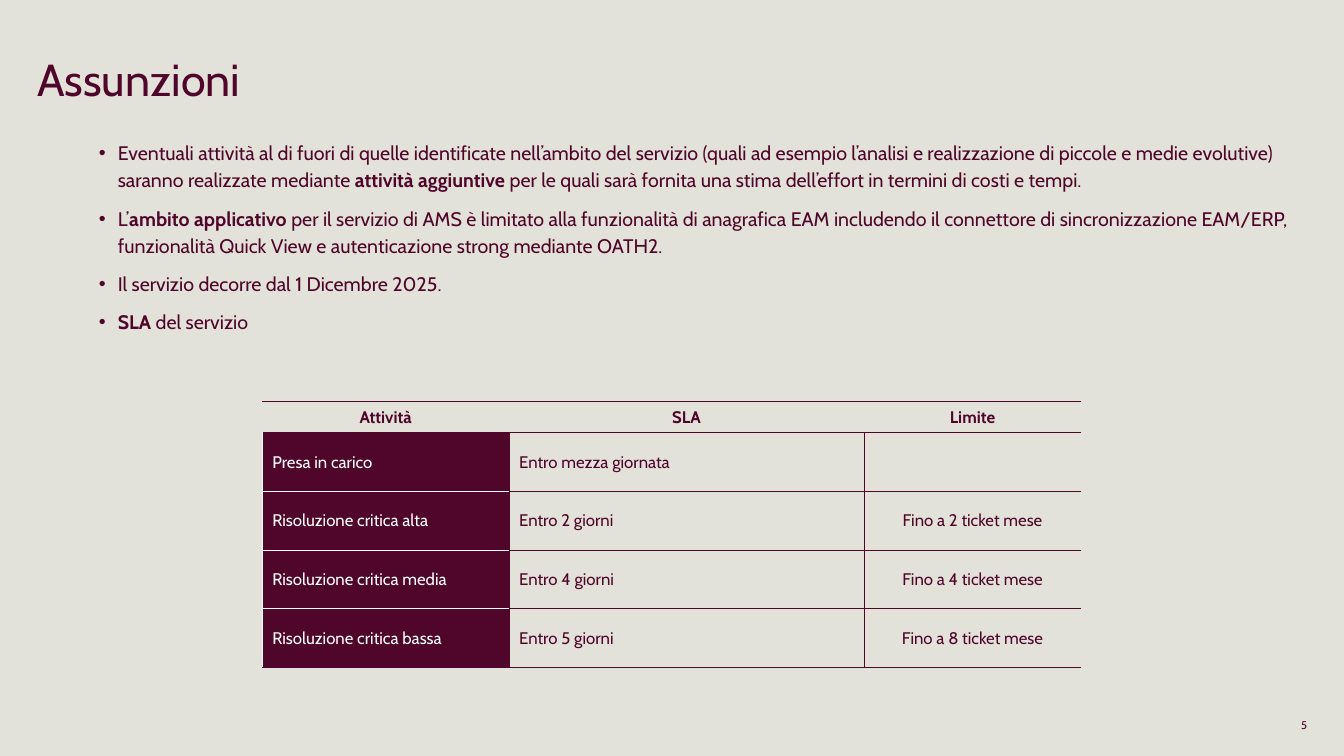
from dataclasses import dataclass
from typing import Any, NamedTuple

from lxml import etree
from pptx import Presentation
from pptx import util as u
from pptx.dml import color
from pptx.enum import text
from pptx.oxml import ns

PLUM = color.RGBColor(0x4F, 0x06, 0x2A)
WHITE = color.RGBColor(0xFF, 0xFF, 0xFF)
SAND = color.RGBColor(0xE3, 0xE2, 0xDA)
FONT = "Cabin"
LEFT, CENTER, RIGHT = text.PP_ALIGN.LEFT, text.PP_ALIGN.CENTER, text.PP_ALIGN.RIGHT


class Span(NamedTuple):
    words: str
    bold: bool = False


@dataclass
class TextBox:
    left: float
    top: float
    width: float
    height: float
    size: int
    paragraphs: list[list[Span]]
    spacing: float = 1.0
    align: Any = LEFT
    anchor: Any = text.MSO_ANCHOR.TOP
    bulleted: bool = False


@dataclass
class Column:
    heading: str
    width: float
    align: Any
    entries: list[str]


TITLE = TextBox(0.94, 1.52, 32, 1.88, 32, [[Span("Assunzioni")]], spacing=0.85)
ASSUMPTIONS = TextBox(0.97, 3.35, 31.95, 5.89, 14, [
    [Span("Eventuali attività al di fuori di quelle identificate nell’ambito del servizio "
          "(quali ad esempio l’analisi e realizzazione di piccole e medie evolutive) "
          "saranno realizzate mediante "),
     Span("attività aggiuntive", True),
     Span(" per le quali sarà fornita una stima dell’effort in termini di costi e tempi.")],
    [Span("L’"), Span("ambito applicativo", True),
     Span(" per il servizio di AMS è limitato alla funzionalità di anagrafica EAM "
          "includendo il connettore di sincronizzazione EAM/ERP, funzionalità Quick View "
          "e autenticazione strong mediante OATH2.")],
    [Span("Il servizio decorre dal 1 Dicembre 2025.")],
    [Span("SLA ", True), Span("del servizio")],
], spacing=1.15, bulleted=True)
PAGE_NUMBER = TextBox(30.94, 18.1, 2, 0.34, 8, [[Span("5")]],
                      align=RIGHT, anchor=text.MSO_ANCHOR.MIDDLE)

COLUMNS = [
    Column("Attività", 6.22, LEFT, ["Presa in carico"] + [
        f"Risoluzione critica {level}" for level in ("alta", "media", "bassa")]),
    Column("SLA", 8.94, LEFT, ["Entro mezza giornata"] + [
        f"Entro {days} giorni" for days in (2, 4, 5)]),
    Column("Limite", 5.48, CENTER, [""] + [
        f"Fino a {tickets} ticket mese" for tickets in (2, 4, 8)]),
]
TABLE_LEFT, TABLE_TOP = 6.61, 10.12
HEADER_HEIGHT, ROW_HEIGHT = 0.78, 1.48


def apply(target: Any, formats: dict[str, Any]) -> None:
    for name, value in formats.items():
        setattr(target, name, value)


def add_span(para: Any, span: Span, size: int, ink: color.RGBColor = PLUM) -> None:
    run = para.add_run()
    run.text = span.words
    apply(run.font, {"name": FONT, "size": u.Pt(size), "bold": span.bold})
    run.font.color.rgb = ink


def add_bullet(para: Any) -> None:
    props = para._p.get_or_add_pPr()
    props.set("marL", str(u.Cm(1.75)))
    props.set("indent", str(u.Cm(-0.48)))
    etree.SubElement(props, ns.qn("a:buFont")).set("typeface", "Arial")
    etree.SubElement(props, ns.qn("a:buChar")).set("char", "•")


def add_text(page: Any, spec_box: TextBox) -> None:
    box = page.shapes.add_textbox(u.Cm(spec_box.left), u.Cm(spec_box.top),
                                  u.Cm(spec_box.width), u.Cm(spec_box.height))
    frame = box.text_frame
    apply(frame, {"word_wrap": True, "vertical_anchor": spec_box.anchor})
    if not spec_box.bulleted:
        apply(frame, {f"margin_{side}": 0 for side in ("left", "top", "right", "bottom")})
    for index, spans in enumerate(spec_box.paragraphs):
        para = frame.add_paragraph() if index else frame.paragraphs[0]
        if spec_box.bulleted:
            add_bullet(para)
            para.space_after = u.Pt(8)
        apply(para, {"line_spacing": spec_box.spacing, "alignment": spec_box.align})
        for span in spans:
            add_span(para, span, spec_box.size)


def set_borders(cell: Any, inks: dict[str, color.RGBColor]) -> None:
    """Draw the given sides (L, R, T, B) and clear the others."""
    props = cell._tc.get_or_add_tcPr()
    for side in "LRTB":
        line = etree.SubElement(props, ns.qn(f"a:ln{side}"), w=str(u.Pt(0.5)))
        if side in inks:
            fill = etree.SubElement(line, ns.qn("a:solidFill"))
            etree.SubElement(fill, ns.qn("a:srgbClr")).set("val", str(inks[side]))
        else:
            etree.SubElement(line, ns.qn("a:noFill"))


def cell_borders(row: int, col: int, last_row: int, last_col: int) -> dict[str, color.RGBColor]:
    inks = {"T": PLUM, "B": PLUM}
    if row == 0:
        return inks
    inks["L"] = PLUM
    if col < last_col:
        inks["R"] = PLUM
    if col == 0:
        inks["L"] = WHITE
        if row > 1:
            inks["T"] = WHITE
        if row < last_row:
            inks["B"] = WHITE
    return inks


def add_sla_table(page: Any, columns: list[Column]) -> None:
    last_row, last_col = len(columns[0].entries), len(columns) - 1
    frame = page.shapes.add_table(
        last_row + 1, len(columns), u.Cm(TABLE_LEFT), u.Cm(TABLE_TOP),
        u.Cm(sum(column.width for column in columns)),
        u.Cm(HEADER_HEIGHT + last_row * ROW_HEIGHT))
    table = frame.table
    apply(table, {"first_row": False, "horz_banding": False})
    for row, line in enumerate(table.rows):
        line.height = u.Cm(ROW_HEIGHT if row else HEADER_HEIGHT)
    for col, column in enumerate(columns):
        table.columns[col].width = u.Cm(column.width)
        for row, words in enumerate([column.heading, *column.entries]):
            cell = table.cell(row, col)
            cell.vertical_anchor = text.MSO_ANCHOR.MIDDLE
            set_borders(cell, cell_borders(row, col, last_row, last_col))
            is_label = row > 0 and col == 0
            if is_label:
                cell.fill.solid()
                cell.fill.fore_color.rgb = PLUM
            else:
                cell.fill.background()
            para = cell.text_frame.paragraphs[0]
            para.alignment = column.align if row else CENTER
            if words:
                add_span(para, Span(words, row == 0), 12, WHITE if is_label else PLUM)


def main() -> None:
    deck = Presentation()
    apply(deck, {"slide_width": u.Cm(33.87), "slide_height": u.Cm(19.05)})
    page = deck.slides.add_slide(deck.slide_layouts[6])
    page.background.fill.solid()
    page.background.fill.fore_color.rgb = SAND

    # Page number, assumptions and title
    for item in (PAGE_NUMBER, ASSUMPTIONS, TITLE):
        add_text(page, item)

    # Service levels
    add_sla_table(page, COLUMNS)
    deck.save("out.pptx")


if __name__ == "__main__":
    main()
